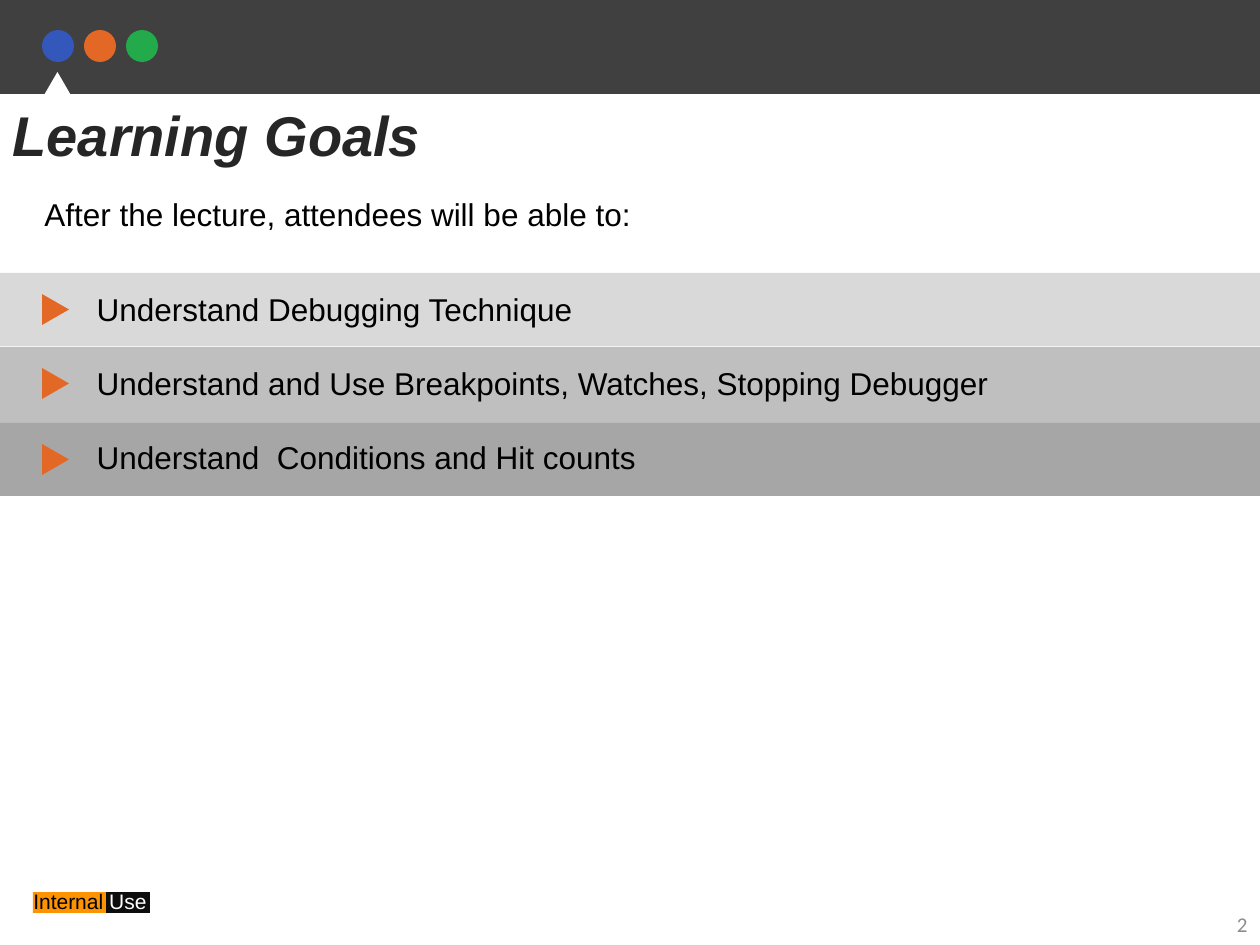
import pptx
import pptx.util
import pptx.dml.color
import pptx.enum.shapes
import pptx.enum.text
from lxml import etree

SHAPE = pptx.enum.shapes.MSO_SHAPE
ANCHOR = pptx.enum.text.MSO_ANCHOR
ALIGN = pptx.enum.text.PP_ALIGN

# Content
TITLE = "Learning Goals"
INTRO = "After the lecture, attendees will be able to:"
GOALS = [  # text, band top, band height, band colour
    ("Understand Debugging Technique", 273, 73, "light"),
    ("Understand and Use Breakpoints, Watches, Stopping Debugger", 347, 76, "mid"),
    ("Understand  Conditions and Hit counts", 423, 73, "dark"),
]
BADGE = [("Internal ", "black"), ("Use", "white")]
PAGE = "2"

COLORS = {
    "header": "404040", "blue": "3357BB", "orange": "E46825", "green": "23AA4A",
    "white": "FFFFFF", "black": "000000", "ink": "0D0D0D", "amber": "FD9203",
    "light": "D9D9D9", "mid": "BFBFBF", "dark": "A6A6A6",
    "title": "262626", "page": "8C8C8C",
}
TITLE_FONT = {"size": 32, "name": "Arial", "bold": True, "italic": True}
BODY_FONT = {"size": 18, "name": "Arial"}
BADGE_FONT = {"size": 12, "name": "Arial"}
PAGE_FONT = {"size": 12, "name": "Calibri"}

EMU_PER_PX = 914400 / 126
W, H = 1260, 945


def px(n):
    return pptx.util.Emu(round(n * EMU_PER_PX))


def rgb(name):
    return pptx.dml.color.RGBColor.from_string(COLORS[name])


def add_block(s, kind, box, color, rotation=0):
    sp = s.shapes.add_shape(kind, *map(px, box))
    sp.fill.solid()
    sp.fill.fore_color.rgb = rgb(color)
    sp.line.fill.background()
    sp.shadow.inherit = False
    sp.rotation = rotation


def place(sp, box):
    for key, n in zip(("left", "top", "width", "height"), box):
        setattr(sp, key, px(n))


def write(sp, paragraphs, font, align=ALIGN.LEFT, anchor=ANCHOR.TOP, gap=0):
    """Fill a text shape; each paragraph is a list of (text, colour) runs."""
    tf = sp.text_frame
    tf.word_wrap = True
    tf.auto_size = pptx.enum.text.MSO_AUTO_SIZE.NONE
    tf.vertical_anchor = anchor
    for i, runs in enumerate(paragraphs):
        p = tf.add_paragraph() if i else tf.paragraphs[0]
        p.alignment = align
        p.space_before = pptx.util.Pt(0)
        p.space_after = pptx.util.Pt(gap)
        for text, color in runs:
            r = p.add_run()
            r.text = text
            for key, value in font.items():
                setattr(r.font, key, pptx.util.Pt(value) if key == "size" else value)
            r.font.color.rgb = rgb(color)


def add_text(s, box, paragraphs, font, **layout):
    write(s.shapes.add_textbox(*map(px, box)), paragraphs, font, **layout)


def remove_bullet(p):
    pPr = p._p.get_or_add_pPr()
    pPr.set("marL", "0")
    pPr.set("indent", "0")
    etree.SubElement(pPr, pptx.oxml.ns.qn("a:buNone"))


def main():
    prs = pptx.Presentation()
    prs.slide_width, prs.slide_height = px(W), px(H)
    s = prs.slides.add_slide(prs.slide_layouts[1])
    title, body = s.placeholders

    # Header band with dots and pointer
    add_block(s, SHAPE.RECTANGLE, (0, 0, W, 94), "header")
    for i, color in enumerate(("blue", "orange", "green")):
        add_block(s, SHAPE.OVAL, (42 + 42 * i, 30, 32, 32), color)
    add_block(s, SHAPE.ISOSCELES_TRIANGLE, (21, 72, 73, 63), "white")

    # Classification badge and page number
    for left, color in ((77, "ink"), (33, "amber")):
        add_block(s, SHAPE.RECTANGLE, (left, 892, 73, 21), color)
    add_text(s, (21, 882, 189, 38), [BADGE], BADGE_FONT)
    add_text(s, (966, 903, 294, 42), [[(PAGE, "page")]], PAGE_FONT,
             align=ALIGN.RIGHT, anchor=ANCHOR.MIDDLE)

    # Goal bands with arrow markers
    for _, top, height, color in GOALS:
        add_block(s, SHAPE.RECTANGLE, (0, top, W, height), color)
        add_block(s, SHAPE.ISOSCELES_TRIANGLE, (40, top + 23, 31, 27), "orange", 90)

    # Title, introduction and goals, in front of the bands
    place(title, (0, 94, 588, 81))
    write(title, [[(TITLE, "title")]], TITLE_FONT)
    add_text(s, (32, 189, 882, 63), [[(INTRO, "black")]], BODY_FONT)
    place(body, (84, 284, 1124, 195))
    write(body, [[(goal[0], "black")] for goal in GOALS], BODY_FONT, gap=20.5)
    for p in body.text_frame.paragraphs:
        remove_bullet(p)
    for sp in (title, body):
        s.shapes._spTree.append(sp._element)

    prs.save("out.pptx")


if __name__ == "__main__":
    main()
